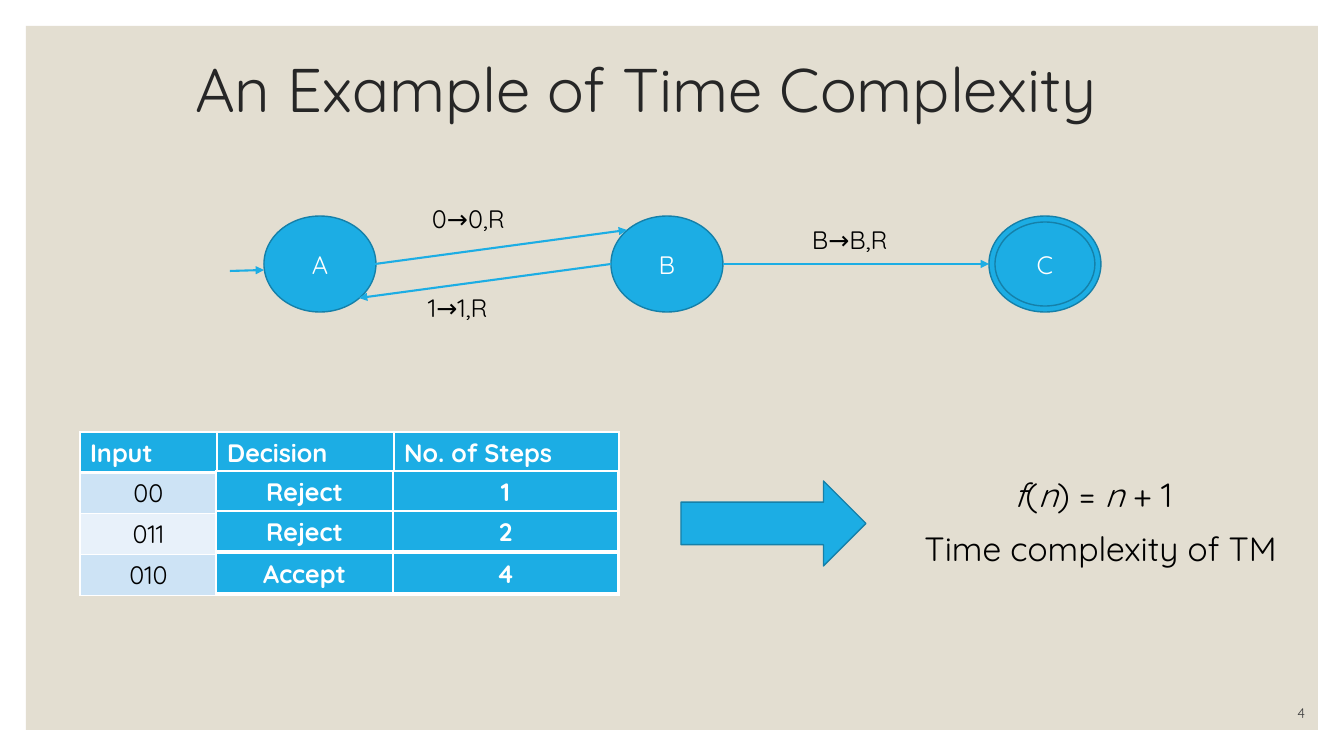
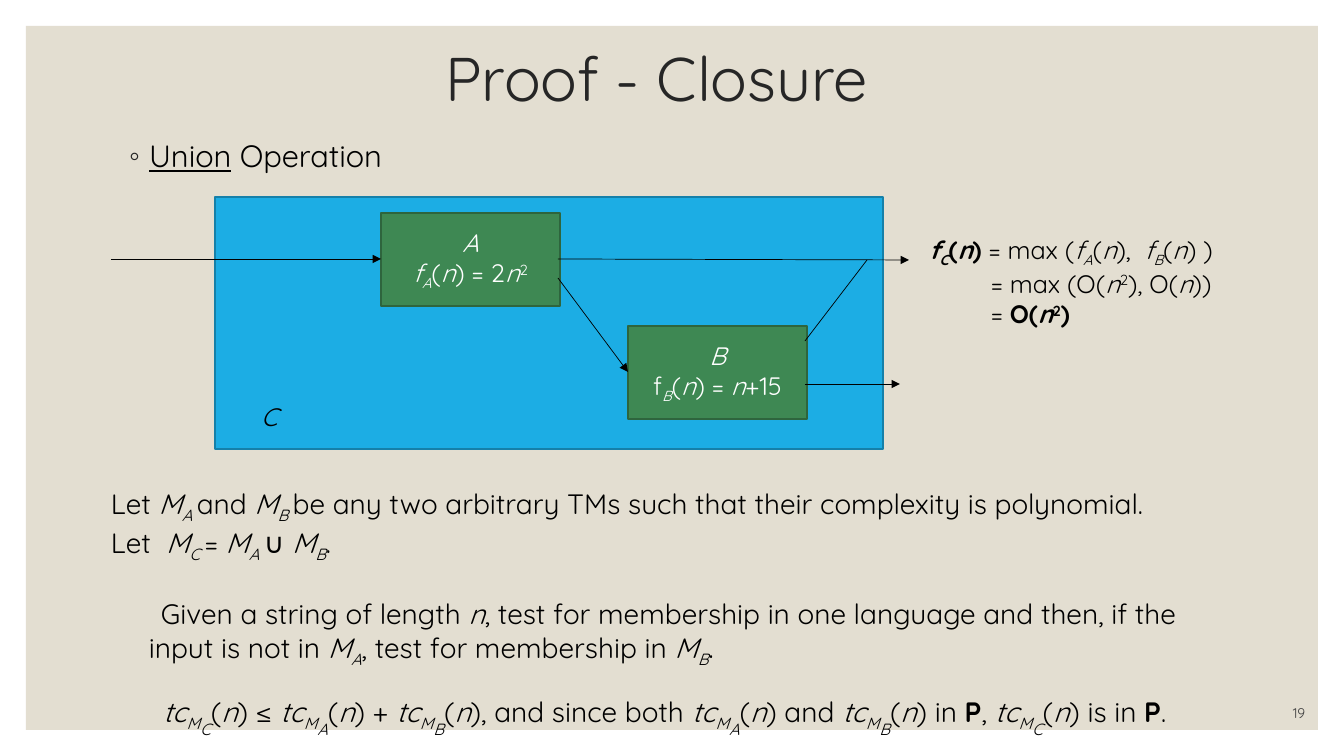
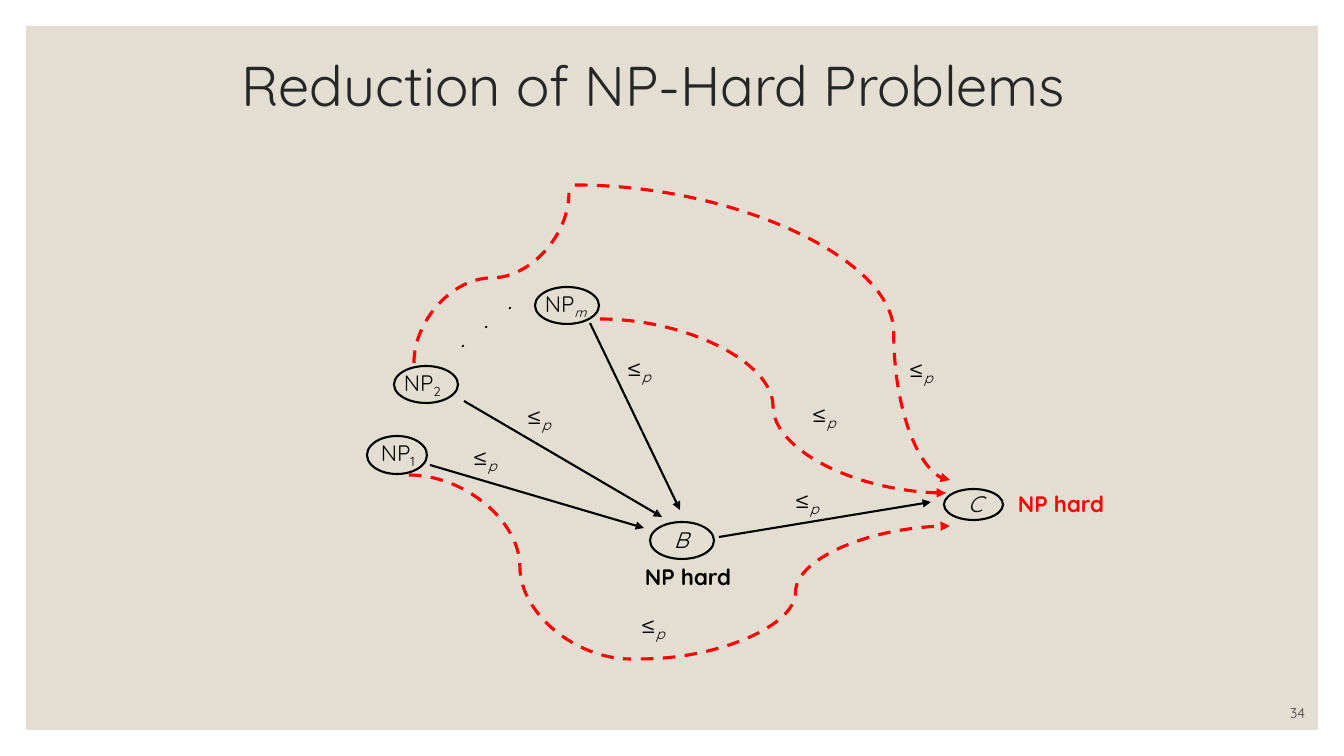
from lxml.etree import SubElement
from pptx import Presentation
from pptx.dml.color import RGBColor
from pptx.enum.dml import MSO_LINE
from pptx.enum.shapes import MSO_CONNECTOR, MSO_SHAPE
from pptx.enum.text import MSO_ANCHOR, MSO_AUTO_SIZE, PP_ALIGN
from pptx.oxml.ns import qn
from pptx.util import Emu, Pt

# Shared look
FONT = "Quicksand"
BLACK = RGBColor(0x00, 0x00, 0x00)
WHITE = RGBColor(0xFF, 0xFF, 0xFF)
RED = RGBColor(0xFF, 0x00, 0x00)
BEIGE = RGBColor(0xE3, 0xDE, 0xD1)
BLUE = RGBColor(0x1C, 0xAD, 0xE4)
DARK_BLUE = RGBColor(0x15, 0x80, 0xA9)
GREEN = RGBColor(0x3E, 0x88, 0x53)
DARK_GREEN = RGBColor(0x2E, 0x65, 0x3D)
PALE_BLUE = RGBColor(0xCD, 0xE3, 0xF5)
PALER_BLUE = RGBColor(0xE8, 0xF1, 0xFA)
TITLE_GRAY = RGBColor(0x26, 0x26, 0x26)
NUMBER_GRAY = RGBColor(0x40, 0x40, 0x40)
PIXEL = 12192000 / 1344
PANEL = (26, 26, 1292, 704)
NUMBER_BOX = (1154, 696, 161, 30)
BASELINES = {"-": -25000, "=": -48000, "^": 30000}

# Rich text: a run is a string, or (text, marks) with marks
# i italic, b bold, u underline, - subscript, = deep subscript, ^ superscript
OF_N = ["(", ("n", "i"), ")"]
BOLD_N = ("n", "bi")
LEQ_P = ["≤", ("p", "i-")]


def machine(name, gap=""):
    """Runs for a Turing machine M with a subscript."""
    return [("M", "i"), (name + gap, "i-")]


def complexity(name):
    """Runs for f of n with a subscript."""
    return [("f", "i"), (name, "i-"), *OF_N]


def machine_time(name):
    """Runs for the time complexity tc of a machine at n."""
    return [("tc", "i"), ("M", "i-"), (name, "i="), *OF_N]


# Slide 1: time complexity example
STATE_SIZE = (112, 96)
STATES = [("A", 264), ("B", 611), ("C", 989)]
STATE_TOP = 216
ACCEPT_RING = 6
TRANSITIONS = [(375, 264, 627, 230), (611, 264, 359, 298),
               (723, 264, 989, 264), (230, 271, 264, 270)]
TRANSITION_LABELS = [("0→0,R", 422, 198), ("1→1,R", 418, 287), ("B→B,R", 802, 219)]
STEP_COLUMNS = [137, 177, 225]
STEP_ROWS = [35, 41, 41, 41]
STEP_TABLE = [["Input", "Decision", "No. of Steps"],
              ["00", "", ""], ["011", "", ""], ["010", "", ""]]
OUTCOMES = [("Reject", "1", 471), ("Reject", "2", 511), ("Accept", "4", 553)]
RESULTS = [([("f", "i"), *OF_N, " = ", ("n", "i"), " + 1"], (975, 469, 236, 50)),
           (["Time complexity of TM"], (900, 523, 401, 50))]

# Slide 2: closure proof
MACHINE_SIZE = (179, 93)
MACHINES = [([[("A", "i")], [*complexity("A"), " = 2", ("n", "i"), ("2", "^")]], 381, 213),
            ([[("B", "i")], ["f", ("B", "i-"), *OF_N, " = ", ("n", "i"), "+15"]], 628, 326)]
FLOWS = [((111, 259, 381, 259), True), ((558, 278, 628, 372), True),
         ((558, 259, 909, 260), True), ((805, 341, 867, 260), False),
         ((805, 384, 900, 384), True)]
BOUND = [
    [("f", "bi"), ("C", "bi-"), ("(", "b"), BOLD_N, (") ", "b"), "= max (",
     *complexity("A"), ",  ", *complexity("B"), " )"],
    ["= max (O(", ("n", "i"), ("2", "^"), "), O(", ("n", "i"), "))"],
    ["= ", ("O(", "b"), BOLD_N, ("2", "b^"), (")", "b")]]
BOUND_INDENTS = [(0, 0, 0), (62, 0, 0), (62, 0, 0)]
PROOF = [
    ["Let ", *machine("A", " "), "and ", *machine("B", " "),
     "be any two arbitrary TMs such that their complexity is polynomial."],
    ["Let  ", *machine("C", " "), "= ", *machine("A", " "), "∪ ", *machine("B"), "."],
    ["Given a string of length ", ("n", "i"),
     ", test for membership in one language and then, if the ", "\n",
     "input is not in ", *machine("A"), ", test for membership in ", *machine("B"), "."],
    [*machine_time("C"), " ≤ ", *machine_time("A"), " + ", *machine_time("B"),
     ", and since both ", *machine_time("A"), " and ", *machine_time("B"), " in ",
     ("P", "b"), ", ", *machine_time("C"), " is in ", ("P", "b"), "."]]
# left margin and first-line indent in pixels, space before in points
PROOF_INDENTS = [(0, 0, 0), (0, 0, 0), (38, 12, 24), (52, 0, 18)]

# Slide 3: reductions
PROBLEMS = [  # oval box, label runs, label corner
    ((367, 436, 60, 38), ["NP", ("1", "-")], (371, 434)),
    ((394, 366, 64, 37), ["NP", ("2", "-")], (394, 364)),
    ((535, 287, 64, 37), ["NP", ("m", "i-")], (535, 285)),
    ((650, 522, 64, 37), [("B", "i")], (664, 521)),
    ((944, 489, 59, 31), [("C", "i")], (958, 485))]
REDUCTIONS = [(430, 465, 644, 528), (464, 401, 662, 517),
              (590, 323, 680, 510), (719, 537, 931, 502)]
LEQ_CORNERS = [(463, 435), (517, 394), (617, 346), (785, 478),
               (631, 603), (802, 392), (899, 347)]
CURVES = [  # ends, bend, arrowhead, leaves vertically
    ((575, 185, 950, 480), 0.85, True, False),
    ((641, 659, 950, 526), 0.5, True, False),
    ((409, 475, 631, 659), 0.5, False, False),
    ((600, 319, 946, 493), 0.5, True, False),
    ((414, 363, 569, 193), 0.5, False, True)]
HARD_LABELS = [(BLACK, (635, 558)), (RED, (1008, 485))]


def px(*lengths):
    """Turn pixel lengths into a list of EMU."""
    return [Emu(round(length * PIXEL)) for length in lengths]


def write(frame, paragraphs, size, color=BLACK, align=PP_ALIGN.LEFT):
    """Fill a text frame with paragraphs of marked runs."""
    for index, runs in enumerate(paragraphs):
        paragraph = frame.add_paragraph() if index else frame.paragraphs[0]
        paragraph.alignment = align
        for item in runs:
            text, marks = (item, "") if isinstance(item, str) else item
            if text == "\n":
                paragraph.add_line_break()
                continue
            run = paragraph.add_run()
            run.text = text
            font = run.font
            font.name, font.size, font.color.rgb = FONT, Pt(size), color
            font.bold, font.italic, font.underline = (mark in marks for mark in "biu")
            for mark in marks:
                if mark in BASELINES:
                    run._r.get_or_add_rPr().set("baseline", str(BASELINES[mark]))


def indent(paragraph, margin, first, before):
    """Set margin and first-line indent in pixels, space before in points."""
    paragraph.space_before = Pt(before)
    properties = paragraph._p.get_or_add_pPr()
    for name, length in zip(("marL", "indent"), px(margin, first)):
        properties.set(name, str(length))


def add_text(slide, box, paragraphs, size=18, color=BLACK, align=PP_ALIGN.LEFT):
    """Add a wrapping text box."""
    shape = slide.shapes.add_textbox(*px(*box))
    shape.text_frame.word_wrap = True
    write(shape.text_frame, paragraphs, size, color, align)
    return shape


def add_block(slide, kind, box, fill=BLUE, line=DARK_BLUE, paragraphs=(), weight=1):
    """Add a preset shape with centred white text; no fill if fill is None."""
    shape = slide.shapes.add_shape(kind, *px(*box))
    shape.shadow.inherit = False
    if fill is None:
        shape.fill.background()
    else:
        shape.fill.solid()
        shape.fill.fore_color.rgb = fill
    if line is None:
        shape.line.fill.background()
    else:
        shape.line.color.rgb = line
        shape.line.width = Pt(weight)
    shape.text_frame.vertical_anchor = MSO_ANCHOR.MIDDLE
    write(shape.text_frame, paragraphs, 18, WHITE, PP_ALIGN.CENTER)
    return shape


def add_line(slide, ends, color, weight, arrow=True, kind=MSO_CONNECTOR.STRAIGHT):
    """Add a connector, with an arrowhead at its end if asked."""
    connector = slide.shapes.add_connector(kind, *px(*ends))
    connector.line.color.rgb = color
    connector.line.width = Pt(weight)
    if kind == MSO_CONNECTOR.CURVE:
        connector.line.dash_style = MSO_LINE.DASH
    if arrow:
        SubElement(connector.get_or_add_ln(), qn("a:tailEnd"), type="triangle")
    SubElement(connector.element.spPr, qn("a:effectLst"))
    return connector


def add_curve(slide, ends, bend, arrow, vertical):
    """Add a dashed red curve; a vertical one is laid out flat, then turned."""
    if vertical:
        left, bottom, right, top = ends
        middle_x, middle_y = (left + right) / 2, (top + bottom) / 2
        half_run, half_rise = (bottom - top) / 2, (right - left) / 2
        ends = (middle_x + half_run, middle_y + half_rise,
                middle_x - half_run, middle_y - half_rise)
    connector = add_line(slide, ends, RED, 2.25, arrow, MSO_CONNECTOR.CURVE)
    properties = connector.element.spPr
    if vertical:
        properties.find(qn("a:xfrm")).set("rot", str(90 * 60000))
    adjustments = properties.find(qn("a:prstGeom")).get_or_add_avLst()
    SubElement(adjustments, qn("a:gd"), name="adj1", fmla=f"val {round(bend * 100000)}")


def style_cell(cell, text, fill, color, bold, align, bottom):
    """Set borders, fill and text of one table cell."""
    properties = cell._tc.get_or_add_tcPr()
    for side, weight in (("L", 1), ("R", 1), ("T", 1), ("B", bottom)):
        border = SubElement(properties, qn(f"a:ln{side}"), w=str(Pt(weight)))
        solid = SubElement(border, qn("a:solidFill"))
        SubElement(solid, qn("a:srgbClr"), val=str(WHITE))
    cell.fill.solid()
    cell.fill.fore_color.rgb = fill
    if text:
        write(cell.text_frame, [[(text, "b" if bold else "")]], 18, color, align)


def add_grid(slide, left, top, columns, rows):
    """Add an unbanded table with the given column and row sizes."""
    frame = slide.shapes.add_table(len(rows), len(columns),
                                   *px(left, top, sum(columns), sum(rows)))
    table = frame.table
    table.first_row = table.horz_banding = False
    for column, width in zip(table.columns, px(*columns)):
        column.width = width
    for row, height in zip(table.rows, px(*rows)):
        row.height = height
    return table


def add_slide(presentation, layout, title, box, size, number):
    """Add a slide with its title and slide number."""
    slide = presentation.slides.add_slide(presentation.slide_layouts[layout])
    shape = slide.shapes.title
    shape.left, shape.top, shape.width, shape.height = px(*box)
    frame = shape.text_frame
    frame.auto_size = MSO_AUTO_SIZE.NONE
    frame.vertical_anchor = MSO_ANCHOR.MIDDLE
    write(frame, [[title]], size, TITLE_GRAY)
    frame.paragraphs[0].line_spacing = 0.9
    corner = add_text(slide, NUMBER_BOX, [[number]], 10, NUMBER_GRAY, PP_ALIGN.RIGHT)
    corner.text_frame.vertical_anchor = MSO_ANCHOR.BOTTOM
    return slide


def build_example(presentation):
    """Build the time complexity example."""
    slide = add_slide(presentation, 5, "An Example of Time Complexity",
                      (185, 42, 970, 102), 44, "4")
    table = add_grid(slide, 80, 432, STEP_COLUMNS, STEP_ROWS)
    for row, texts in enumerate(STEP_TABLE):
        for column, text in enumerate(texts):
            cell = table.cell(row, column)
            if row == 0:
                style_cell(cell, text, BLUE, WHITE, True, PP_ALIGN.LEFT, 3)
            else:
                fill = PALE_BLUE if row % 2 else PALER_BLUE
                style_cell(cell, text, fill, BLACK, False, PP_ALIGN.CENTER, 1)
    width, height = STATE_SIZE
    for name, left in STATES:
        add_block(slide, MSO_SHAPE.OVAL, (left, STATE_TOP, width, height),
                  paragraphs=[] if name == "C" else [[name]])
    ring = (left + ACCEPT_RING, STATE_TOP + ACCEPT_RING,
            width - 2 * ACCEPT_RING, height - 2 * ACCEPT_RING)
    add_block(slide, MSO_SHAPE.OVAL, ring, paragraphs=[["C"]])
    for ends in TRANSITIONS:
        add_line(slide, ends, BLUE, 1.5)
    for text, left, top in TRANSITION_LABELS:
        add_text(slide, (left, top, 142, 40), [[text]])
    add_block(slide, MSO_SHAPE.RIGHT_ARROW, (681, 481, 185, 85))
    for runs, box in RESULTS:
        add_text(slide, box, [runs], 24, align=PP_ALIGN.CENTER)
    for decision, steps, top in OUTCOMES:
        outcome = add_grid(slide, 216, top, STEP_COLUMNS[1:], STEP_ROWS[1:2])
        for column, text in enumerate((decision, steps)):
            style_cell(outcome.cell(0, column), text, BLUE, WHITE, True,
                       PP_ALIGN.CENTER, 3)


def build_closure(presentation):
    """Build the closure proof."""
    slide = add_slide(presentation, 1, "Proof - Closure", (435, 36, 468, 92), 44, "19")
    body = slide.placeholders[1]
    body.left, body.top, body.width, body.height = px(119, 132, 1109, 336)
    body.text_frame.auto_size = MSO_AUTO_SIZE.NONE
    write(body.text_frame, [[("Union", "u"), " Operation"]], 22)
    bullet = body.text_frame.paragraphs[0]
    indent(bullet, 20, -20, 9)
    properties = bullet._p.get_or_add_pPr()
    SubElement(SubElement(properties, qn("a:buClr")), qn("a:srgbClr"), val=str(TITLE_GRAY))
    SubElement(properties, qn("a:buChar"), char="◦")
    add_block(slide, MSO_SHAPE.RECTANGLE, (215, 197, 668, 252))
    for paragraphs, left, top in MACHINES:
        add_block(slide, MSO_SHAPE.RECTANGLE, (left, top, *MACHINE_SIZE),
                  GREEN, DARK_GREEN, paragraphs)
    add_text(slide, (251, 396, 76, 40), [[("C", "i")]])
    for ends, arrow in FLOWS:
        add_line(slide, ends, BLACK, 0.5, arrow)
    for box, paragraphs, size, indents in (
            ((919, 229, 379, 102), BOUND, 18, BOUND_INDENTS),
            ((101, 482, 1185, 239), PROOF, 20, PROOF_INDENTS)):
        text = add_text(slide, box, paragraphs, size)
        for paragraph, lengths in zip(text.text_frame.paragraphs, indents):
            indent(paragraph, *lengths)


def build_reductions(presentation):
    """Build the diagram of reductions."""
    slide = add_slide(presentation, 5, "Reduction of NP-Hard Problems",
                      (231, 45, 880, 86), 40, "34")
    for oval, runs, corner in PROBLEMS:
        add_block(slide, MSO_SHAPE.OVAL, oval, None, BLACK, weight=1.5)
        add_text(slide, (*corner, 70, 37), [runs], 16)
    dots = add_text(slide, (478, 274, 32, 105), [["."]] * 3)
    dots.rotation = 51
    for ends in REDUCTIONS:
        add_line(slide, ends, BLACK, 1.5)
    for curve in CURVES:
        add_curve(slide, *curve)
    for corner in LEQ_CORNERS:
        add_text(slide, (*corner, 50, 40), [LEQ_P])
    for color, corner in HARD_LABELS:
        add_text(slide, (*corner, 117, 37), [[("NP hard", "b")]], 16, color)


def main():
    """Build and save the presentation."""
    presentation = Presentation()
    presentation.slide_width, presentation.slide_height = px(1344, 756)
    build_example(presentation)
    build_closure(presentation)
    build_reductions(presentation)
    panel = add_block(presentation.slides[0], MSO_SHAPE.RECTANGLE, PANEL, BEIGE, None)
    presentation.slide_master.shapes.element.insert(2, panel.element)
    presentation.save("out.pptx")


main()
